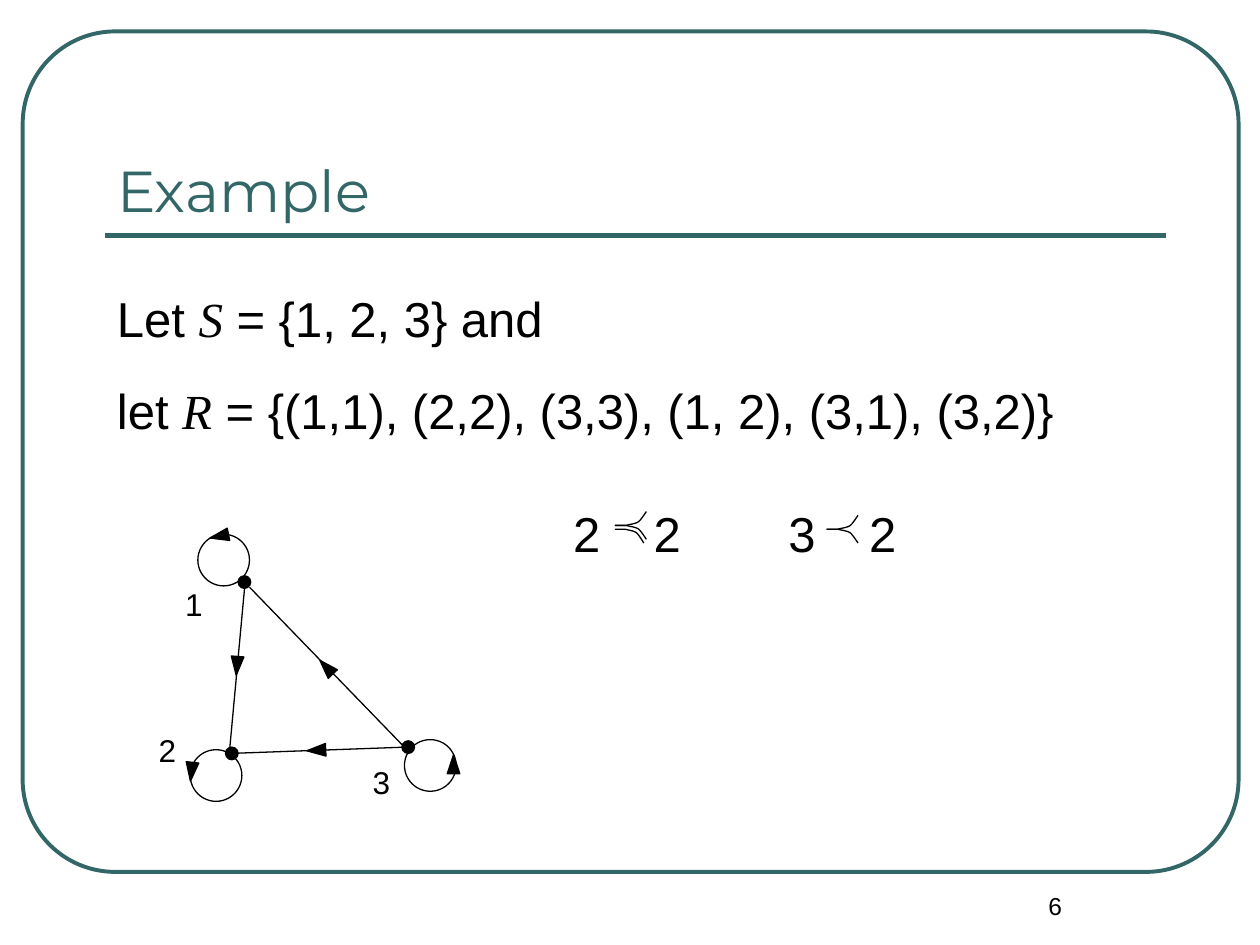
from lxml import etree
from pptx import Presentation
from pptx.dml.color import RGBColor
from pptx.enum.shapes import MSO_CONNECTOR, MSO_SHAPE
from pptx.enum.text import MSO_ANCHOR, MSO_AUTO_SIZE, PP_ALIGN
from pptx.oxml.ns import qn
from pptx.util import Inches, Pt

TEAL = RGBColor(0x33, 0x66, 0x66)
BLACK = RGBColor(0, 0, 0)
OVAL, TRIANGLE = MSO_SHAPE.OVAL, MSO_SHAPE.ISOSCELES_TRIANGLE
FRAME = MSO_SHAPE.ROUNDED_RECTANGLE
STRAIGHT = MSO_CONNECTOR.STRAIGHT
LEFT, CENTER = PP_ALIGN.LEFT, PP_ALIGN.CENTER
BOTTOM, NO_FIT = MSO_ANCHOR.BOTTOM, MSO_AUTO_SIZE.NONE

SLIDE_WIDTH, SLIDE_HEIGHT = Inches(10), Inches(7.5)
COLUMNS = 100
CELL = SLIDE_WIDTH // COLUMNS

DOT, LOOP, HEAD = (1, 1), (4.1, 4.1), (1, 1.5)
LABEL = (4.2, 4)
NODES = [
    ("1", (18.9, 45.7), (13.7, 45.7), (15.7, 42.4), (16.9, 41.8), 258.6),
    ("2", (17.9, 59.3), (11.6, 57.3), (15.1, 59.5), (14.7, 60.5), 186.2),
    ("3", (31.9, 58.8), (28.6, 59.8), (32.1, 58.7), (35.5, 59.9), 0),
]
EDGES = [
    ((19.5, 45.7), (18.2, 59.8), (18.3, 52.1), 184.2),
    ((19.8, 46.6), (32.1, 59.3), (25.4, 52.2), 316.7),
    ((32.1, 59.3), (18.2, 59.8), (24.6, 58.8), 267),
]
BRANCH = [
    [(0, 0), (0.3, 0), (0.6, 0), (0.9, 0)],
    [(0.9, 0), (1.2, 0.1), (1.6, 0.1), (1.9, 0.3)],
    [(1.9, 0.3), (2.1, 0.5), (2.3, 0.8), (2.5, 1.1)],
]
STEPS = 8


def cells(*numbers):
    return [round(number * CELL) for number in numbers]


def add_outline(page, preset, place, size, fill=None, line=BLACK, weight=0.75, turn=0):
    shape = page.shapes.add_shape(preset, *cells(*place, *size))
    style_outline(shape, fill, line, weight)
    shape.rotation = turn
    return shape


def style_outline(shape, fill, line, weight):
    shape.shadow.inherit = False
    if fill is None:
        shape.fill.background()
    else:
        shape.fill.solid()
        shape.fill.fore_color.rgb = fill
    shape.line.color.rgb = line
    shape.line.width = Pt(weight)


def add_line(page, start, end, color=BLACK, weight=0.75):
    line = page.shapes.add_connector(STRAIGHT, *cells(*start, *end))
    line.line.color.rgb = color
    line.line.width = Pt(weight)
    etree.SubElement(line._element.spPr, qn("a:effectLst"))


def add_span(para, text, size, font="Arial", color=BLACK, italic=False):
    span = para.add_run()
    span.text = text
    span.font.size = Pt(size)
    span.font.name = font
    span.font.color.rgb = color
    span.font.italic = italic


def add_text(page, place, size, lines, points, align=LEFT, tab=None):
    box = page.shapes.add_textbox(*cells(*place, *size))
    frame = box.text_frame
    frame.word_wrap = True
    frame.margin_top = Inches(0.05 + points * 0.0013)
    for number, spans in enumerate(lines):
        para = frame.add_paragraph() if number else frame.paragraphs[0]
        para.alignment = align
        if number:
            para.space_before = Pt(19)
        if tab:
            stops = etree.SubElement(para._p.get_or_add_pPr(), qn("a:tabLst"))
            etree.SubElement(stops, qn("a:tab"), pos=str(cells(tab)[0]), algn="l")
        for text, is_symbol in spans:
            font = "Times New Roman" if is_symbol else "Arial"
            add_span(para, text, points, font, italic=is_symbol)


def curve_points(segment):
    for step in range(1, STEPS + 1):
        t = step / STEPS
        weights = [(1 - t) ** 3, 3 * t * (1 - t) ** 2, 3 * t ** 2 * (1 - t), t ** 3]
        yield tuple(sum(w * point[axis] for w, point in zip(weights, segment)) for axis in (0, 1))


def add_branch(page, left, top, direction, stretch=1):
    builder = page.shapes.build_freeform(*cells(left, top), scale=1.0)
    points = [
        cells(left + stretch * x, top + direction * y)
        for segment in BRANCH
        for x, y in curve_points(segment)
    ]
    builder.add_line_segments(points, close=False)
    style_outline(builder.convert_to_shape(), None, BLACK, 0.75)


def add_title(page, text):
    title = page.shapes.title
    title.left, title.top, title.width, title.height = cells(8.3, 5.8, 84.2, 12.5)
    frame = title.text_frame
    frame.auto_size = NO_FIT
    frame.vertical_anchor = BOTTOM
    para = frame.paragraphs[0]
    para.alignment = LEFT
    add_span(para, text, 33, "Montserrat", TEAL)


def add_graph(page):
    for name, dot, label, loop, head, turn in NODES:
        add_outline(page, OVAL, dot, DOT, BLACK)
        add_text(page, label, LABEL, [[(name, False)]], 18)
        add_outline(page, OVAL, loop, LOOP)
        add_outline(page, TRIANGLE, head, HEAD, BLACK, turn=turn)
    for start, end, head, turn in EDGES:
        add_line(page, start, end)
        add_outline(page, TRIANGLE, head, HEAD, BLACK, turn=turn)


def add_relations(page):
    for left, text in ((44.5, "2\t2"), (61.6, "3\t2")):
        add_text(page, (left, 39.1), (11.7, 5.7), [[(text, False)]], 28, tab=6.4)
    for left, top in ((48.8, 41.7), (65.6, 42)):
        for direction in (-1, 1):
            add_branch(page, left, top, direction)
    add_branch(page, 48.8, 42, 1, 0.92)


def main():
    deck = Presentation()
    deck.slide_width, deck.slide_height = SLIDE_WIDTH, SLIDE_HEIGHT
    page = deck.slides.add_slide(deck.slide_layouts[5])
    frame = add_outline(page, FRAME, (1.8, 2.5), (96.5, 66.7), line=TEAL, weight=2.25)
    frame.adjustments[0] = 0.11
    add_line(page, (8.3, 18.7), (92.5, 18.7), TEAL, 3)
    add_title(page, "Example")
    add_text(page, (75, 70), (17.5, 5), [[("6", False)]], 14, CENTER)
    definitions = [
        [("Let ", False), ("S", True), (" = {1, 2, 3} and", False)],
        [("let ", False), ("R", True),
         (" = {(1,1), (2,2), (3,3), (1, 2), (3,1), (3,2)}", False)],
    ]
    add_text(page, (8.3, 22), (86.6, 12.8), definitions, 28)
    add_graph(page)
    add_relations(page)
    deck.save("out.pptx")


if __name__ == "__main__":
    main()
